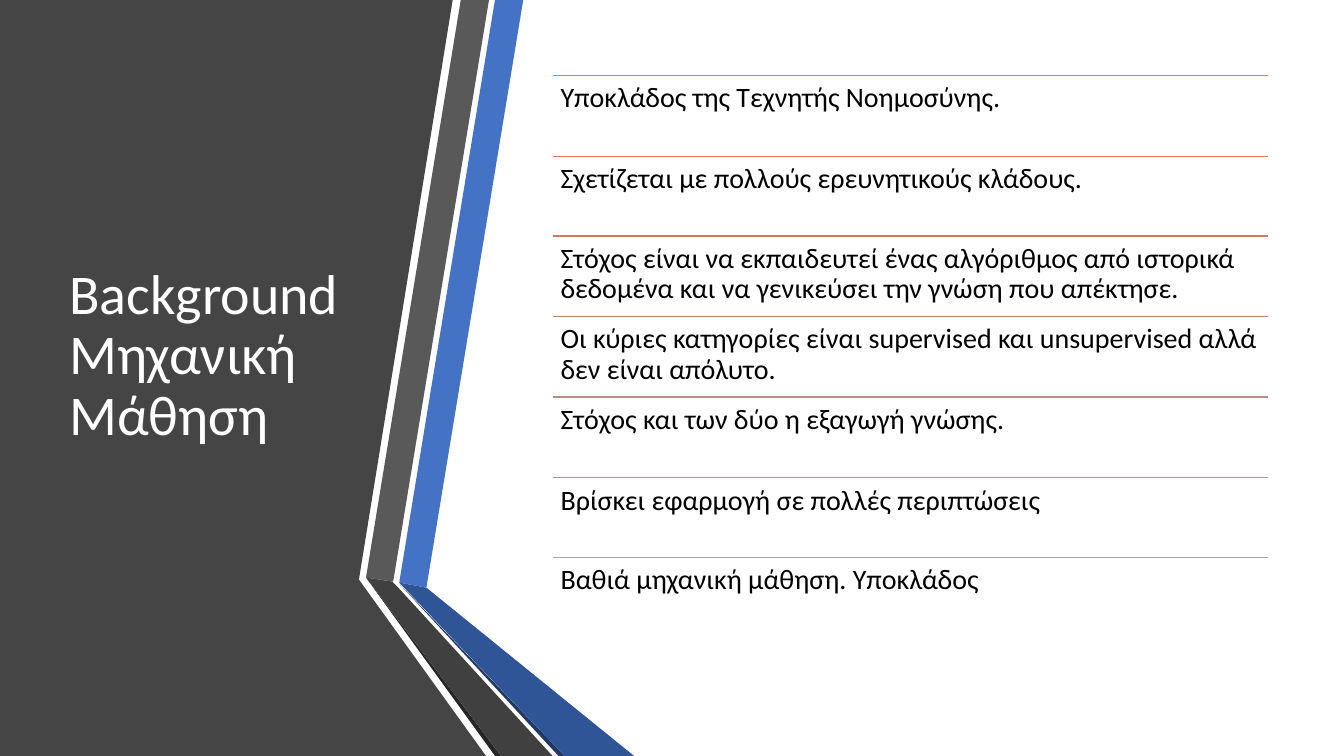
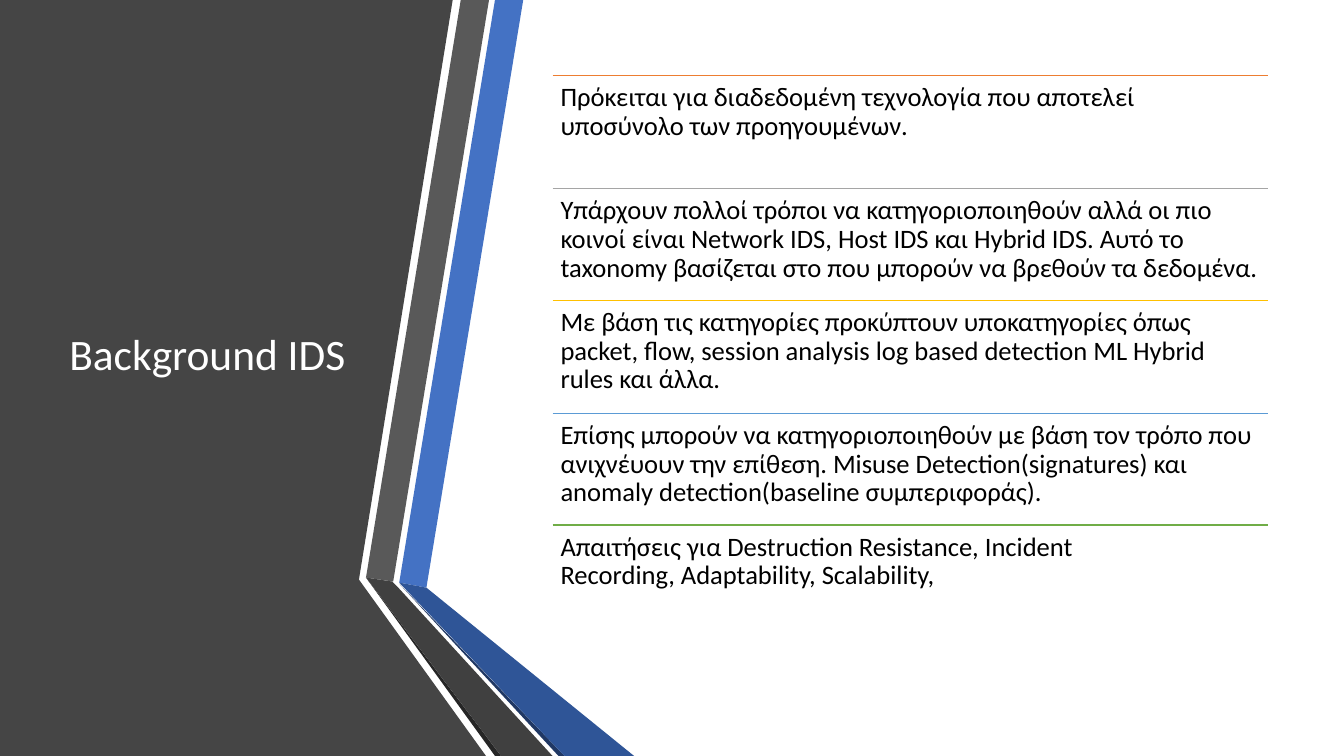
from dataclasses import dataclass
from lxml.etree import SubElement
from pptx import Presentation
from pptx.dml.color import RGBColor as RGB
from pptx.enum.shapes import MSO_CONNECTOR as LINK
from pptx.enum.text import MSO_ANCHOR as ANCHOR
from pptx.oxml.ns import qn
from pptx.util import Pt

PX = 9144  # 100 px to the inch
WIDE, HIGH = 1333, 750


@dataclass(frozen=True)
class Theme:
    font: str = "Calibri"
    panel: str = "454545"
    blue: str = "4472C4"
    navy: str = "2F5597"
    deep: str = "203864"
    gray: str = "595959"
    dark: str = "404040"
    black: str = "262626"
    title: str = "FFFFFF"
    body: str = "000000"
    rule: int = 1
    lead: float = 0.9


theme = Theme()

# Shared artwork: fill and corner points, back to front
bands = [
    (theme.panel, [(0, 0), (449, 0), (356, 575), (482, 750), (0, 750)]),
    (theme.blue, [(396, 578), (423, 583), (519, 0), (491, 0)]),
    (theme.gray, [(485, 0), (457, 0), (363, 573), (390, 577)]),
    (theme.black, [(363, 573), (491, 750), (497, 750)]),
    (theme.deep, [(396, 579), (554, 750), (560, 750)]),
    (theme.navy, [(396, 578), (560, 750), (629, 750), (423, 583)]),
    (theme.dark, [(363, 573), (497, 750), (548, 750), (395, 583), (389, 577)]),
]

# Title box and list area
TOP, TALL = 75, 558
TITLE_X, TITLE_W = 59, 304
LIST_X, LIST_W = 548, 710
PAD = 8

# Title, title size, text size, rows of (rule colour, text); ~ is a no-break space
pages = [
    ("Background Μηχανική Μάθηση", 40, 20, [
        ("ED7D31", "Υποκλάδος της Τεχνητής Νοημοσύνης."),
        ("DE7A47", "Σχετίζεται με πολλούς ερευνητικούς κλάδους."),
        ("D17B5C", "Στόχος είναι να εκπαιδευτεί ένας αλγόριθμος από ιστορικά "
                   "δεδομένα και να γενικεύσει την γνώση που απέκτησε."),
        ("C48170", "Οι κύριες κατηγορίες είναι supervised~και unsupervised~αλλά "
                   "δεν είναι απόλυτο."),
        ("B98A82", "Στόχος και των δύο η εξαγωγή γνώσης."),
        ("AE9694", "Βρίσκει εφαρμογή σε πολλές περιπτώσεις"),
        ("A5A5A5", "Βαθιά μηχανική μάθηση. Υποκλάδος"),
    ]),
    ("Background~IDS", 31, 19, [
        ("ED7D31", "Πρόκειται για διαδεδομένη τεχνολογία που αποτελεί "
                   "υποσύνολο των προηγουμένων."),
        ("A5A5A5", "Υπάρχουν πολλοί τρόποι να κατηγοριοποιηθούν αλλά οι πιο "
                   "κοινοί είναι Network~IDS, Host IDS και Hybrid IDS. Αυτό το "
                   "taxonomy βασίζεται στο που μπορούν να βρεθούν τα δεδομένα."),
        ("FFC000", "Με βάση τις κατηγορίες προκύπτουν υποκατηγορίες όπως "
                   "packet, flow, session analysis log based detection~ML Hybrid "
                   "rules και άλλα."),
        ("5B9BD5", "Επίσης μπορούν να κατηγοριοποιηθούν με βάση τον τρόπο που "
                   "ανιχνέυουν την επίθεση. Misuse Detection(signatures) και "
                   "anomaly detection(baseline συμπεριφοράς)."),
        ("70AD47", "Απαιτήσεις για~Destruction Resistance, Incident "
                   "Recording,~Adaptability,~Scalability,"),
    ]),
]


def write(slide, box, text, size, color):
    """Add a wrapped text box; box is left, top, width, height in px."""
    frame = slide.shapes.add_textbox(*(v * PX for v in box)).text_frame
    frame.word_wrap = True
    frame.text = text.replace("~", chr(160))
    para = frame.paragraphs[0]
    para.line_spacing = theme.lead
    font = para.runs[0].font
    font.name, font.size = theme.font, Pt(size)
    font.color.rgb = RGB.from_string(color)
    return frame


deck = Presentation()
deck.slide_width, deck.slide_height = WIDE * PX, HIGH * PX

for title, big, small, rows in pages:
    slide = deck.slides.add_slide(deck.slide_layouts[6])

    # Panel and folded bands
    for color, dots in bands:
        pen = slide.shapes.build_freeform(*dots[0], scale=PX)
        pen.add_line_segments(dots[1:], close=True)
        band = pen.convert_to_shape()
        band.shadow.inherit = False
        band.fill.solid()
        band.fill.fore_color.rgb = RGB.from_string(color)
        band.line.fill.background()

    # Title
    frame = write(slide, (TITLE_X, TOP, TITLE_W, TALL), title, big, theme.title)
    frame.vertical_anchor = ANCHOR.MIDDLE

    # Ruled list in equal rows
    for i, (color, text) in enumerate(rows):
        y = TOP + round(i * TALL / len(rows))
        rule = slide.shapes.add_connector(
            LINK.STRAIGHT, LIST_X * PX, y * PX, (LIST_X + LIST_W) * PX, y * PX)
        rule.line.color.rgb = RGB.from_string(color)
        rule.line.width = Pt(theme.rule)
        SubElement(rule._element.spPr, qn("a:effectLst"))

        box = (LIST_X, y, LIST_W, TALL // len(rows))
        frame = write(slide, box, text, small, theme.body)
        frame.margin_left = frame.margin_right = PAD * PX
        frame.margin_top = frame.margin_bottom = PAD * PX

deck.save("out.pptx")
